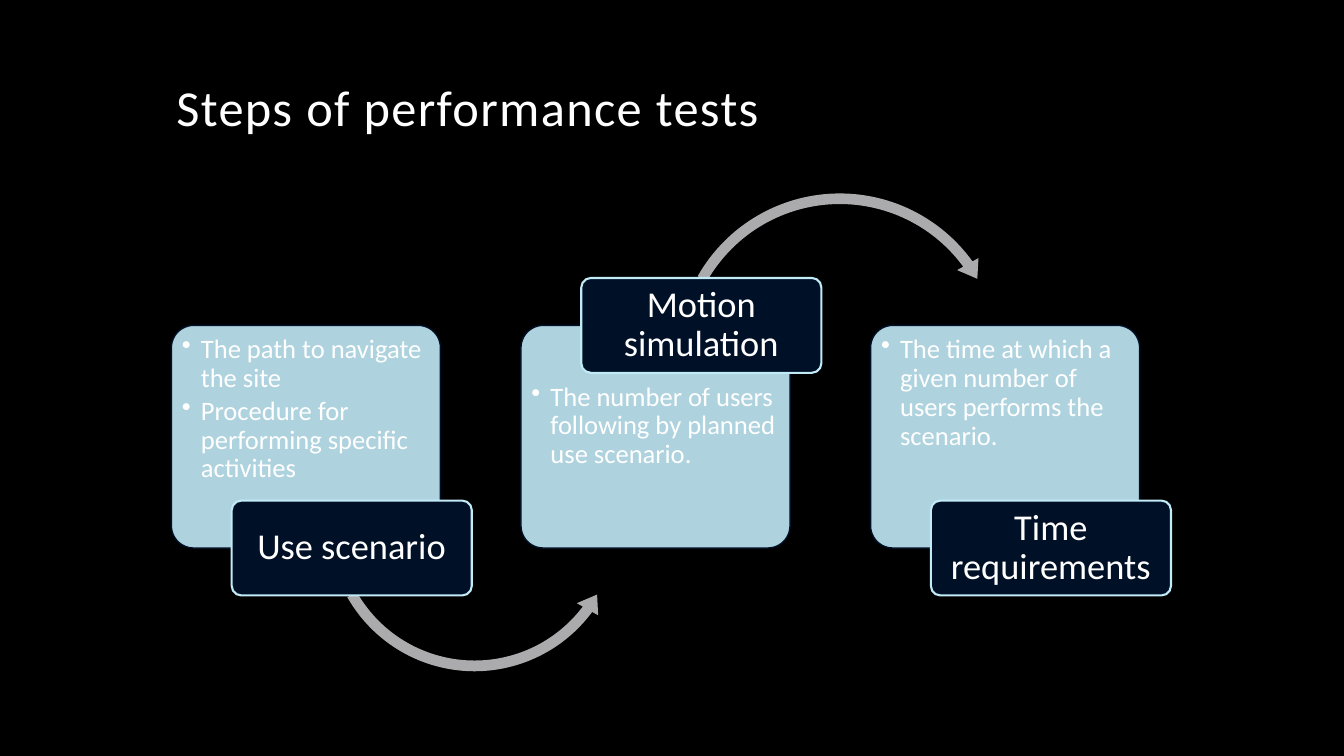
import pptx
import pptx.dml.color
import pptx.enum.shapes
import pptx.enum.text
import pptx.oxml.ns
import pptx.util
import lxml.etree

Cm = pptx.util.Cm
Pt = pptx.util.Pt
RGBColor = pptx.dml.color.RGBColor
SHAPES = pptx.enum.shapes.MSO_SHAPE
ALIGN = pptx.enum.text.PP_ALIGN
ANCHOR = pptx.enum.text.MSO_ANCHOR
qn = pptx.oxml.ns.qn

BLACK = RGBColor(0x00, 0x00, 0x00)
WHITE = RGBColor(0xFF, 0xFF, 0xFF)
PALE_BLUE = RGBColor(0xC1, 0xEB, 0xF7)
NAVY = RGBColor(0x00, 0x10, 0x27)
GREY = RGBColor(0xAB, 0xAB, 0xAD)

CARD_LEFT, CARD_TOP, CARD_WIDTH, CARD_HEIGHT = 4.32, 8.2, 6.78, 5.61
CARD_PITCH = 8.81
LABEL_SHIFT, LABEL_WIDTH, LABEL_HEIGHT = 1.52, 6.05, 2.39
INSET = 0.1

# label, label on the top edge, bullets
STEPS = [
    ("Use scenario", False,
     ["The path to navigate the site", "Procedure for performing specific activities"]),
    ("Motion simulation", True,
     ["The number of users following by planned use scenario."]),
    ("Time requirements", False,
     ["The time at which a given number of users performs the scenario."]),
]
# preset, left, top, size, adjustments; one after each step but the last
ARROWS = [
    (SHAPES.LEFT_CIRCULAR_ARROW, 8.1, 9.37, 7.72, (0.035, 4.277, 22.032, 90.245, 0.04)),
    (SHAPES.CIRCULAR_ARROW, 16.87, 4.7, 8.59, (0.031, 3.813, 194.431, 125.755, 0.036)),
]


def add_block(preset, left, top, width, height, adjustments, color):
    block = page.shapes.add_shape(preset, Cm(left), Cm(top), Cm(width), Cm(height))
    for number, value in enumerate(adjustments):
        block.adjustments[number] = value
    block.shadow.inherit = False
    block.fill.solid()
    block.fill.fore_color.rgb = color
    block.line.fill.background()
    frame = block.text_frame
    frame.word_wrap = True
    frame.margin_left = frame.margin_right = Cm(INSET)
    frame.margin_top = frame.margin_bottom = Cm(INSET)
    return block


def write(para, text, size, align):
    para.alignment = align
    para.line_spacing = 0.9
    span = para.add_run()
    span.text = text
    span.font.name = "Calibri"
    span.font.size = Pt(size)
    span.font.color.rgb = WHITE
    return span


deck = pptx.Presentation()
deck.slide_width, deck.slide_height = Cm(33.87), Cm(19.05)
page = deck.slides.add_slide(deck.slide_layouts[5])
page.background.fill.solid()
page.background.fill.fore_color.rgb = BLACK

title = page.shapes.title
title.left, title.top, title.width, title.height = Cm(4.19), Cm(1.47), Cm(25.4), Cm(2.11)
title.text_frame.vertical_anchor = ANCHOR.BOTTOM
title_span = write(title.text_frame.paragraphs[0], "Steps of performance tests", 36, ALIGN.LEFT)
title_span.font._element.set("spc", "100")

for column, (name, label_on_top, bullets) in enumerate(STEPS):
    left = CARD_LEFT + column * CARD_PITCH
    card = add_block(SHAPES.ROUNDED_RECTANGLE, left, CARD_TOP, CARD_WIDTH, CARD_HEIGHT,
                     [0.1], PALE_BLUE)
    card_color = card.fill._xPr.find(qn("a:solidFill"))[0]
    lxml.etree.SubElement(card_color, qn("a:alpha")).set("val", "90000")
    card.line.color.rgb = NAVY
    card.line.width = Pt(1)
    card.text_frame.vertical_anchor = ANCHOR.TOP
    if label_on_top:
        card.text_frame.margin_top = Cm(INSET + LABEL_HEIGHT / 2)
    for number, bullet in enumerate(bullets):
        para = card.text_frame.add_paragraph() if number else card.text_frame.paragraphs[0]
        write(para, bullet, 19, ALIGN.LEFT)
        para.space_after = Pt(3)
        properties = para._p.get_or_add_pPr()
        properties.set("marL", str(Cm(0.48)))
        properties.set("indent", str(-Cm(0.48)))
        lxml.etree.SubElement(properties, qn("a:buChar")).set("char", "•")

    if column < len(ARROWS):
        preset, arrow_left, arrow_top, size, adjustments = ARROWS[column]
        add_block(preset, arrow_left, arrow_top, size, size, adjustments, GREY)

    edge = CARD_TOP if label_on_top else CARD_TOP + CARD_HEIGHT
    label = add_block(SHAPES.ROUNDED_RECTANGLE, left + LABEL_SHIFT, edge - LABEL_HEIGHT / 2,
                      LABEL_WIDTH, LABEL_HEIGHT, [0.1], NAVY)
    label.line.color.rgb = PALE_BLUE
    label.line.width = Pt(1.5)
    label.text_frame.vertical_anchor = ANCHOR.MIDDLE
    write(label.text_frame.paragraphs[0], name, 26, ALIGN.CENTER)

deck.save("out.pptx")
